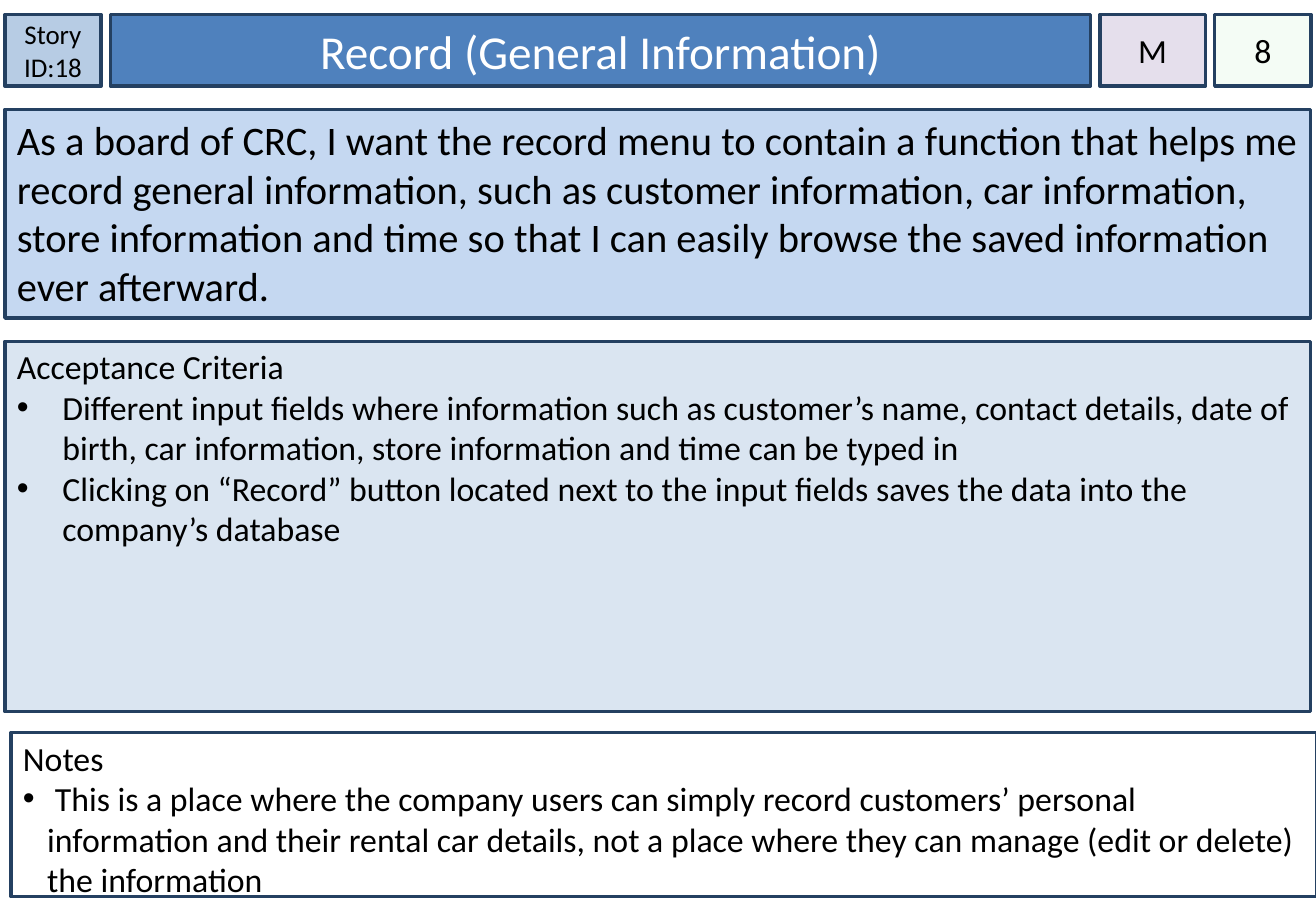
"""Build a user story card with a header row and three text panels."""
from lxml.etree import SubElement
from pptx import Presentation
from pptx.dml.color import RGBColor
from pptx.enum.shapes import MSO_SHAPE as Shape
from pptx.enum.text import MSO_ANCHOR as Anchor, PP_ALIGN as Align
from pptx.oxml.ns import qn
from pptx.util import Pt

NAVY = RGBColor(0x24, 0x40, 0x61)
BLACK = RGBColor(0, 0, 0)
WHITE = RGBColor(0xFF, 0xFF, 0xFF)
STEEL = RGBColor(0xB7, 0xCC, 0xE4)
BLUE = RGBColor(0x4F, 0x81, 0xBD)
LILAC = RGBColor(0xE5, 0xDF, 0xEC)
GREEN = RGBColor(0xCC, 0xF0, 0xCD)
SKY = RGBColor(0xC5, 0xD8, 0xF1)
PALE = RGBColor(0xDA, 0xE5, 0xF1)

LEFT = 2.9
HEADER_TOP, HEADER_HEIGHT, HEADER_GAP = 8.6, 42.5, 5.5
PANEL_WIDTH = 774

HEADER = [
    ("Story ID:18", 57,
     {"fill": STEEL, "size": 16, "top_inset": 0, "bottom_inset": 0}),
    ("Record (General Information)", 581,
     {"fill": BLUE, "size": 28, "color": WHITE, "side": 7.2}),
    ("M", 62.6, {"fill": LILAC}),
    ("8", 57, {"fill": GREEN, "opacity": 20}),
]

STORY = (
    "As a board of CRC, I want the record menu to contain a function that "
    "helps me record general information, such as customer information, car "
    "information, store information and time so that I can easily browse the "
    "saved information ever afterward."
)
CRITERIA = [
    "Acceptance Criteria",
    "Different input fields where information such as customer’s name, contact "
    "details, date of birth, car information, store information and time can "
    "be typed in",
    "Clicking on “Record” button located next to the input fields saves the "
    "data into the company’s database",
]
NOTES = [
    "Notes",
    " This is a place where the company users can simply record customers’ "
    "personal information and their rental car details, not a place where "
    "they can manage (edit or delete) the information",
]
PANELS = [
    ([STORY], (LEFT, 64.8, PANEL_WIDTH, 123.8), {"fill": SKY, "size": 24}),
    (CRITERIA, (LEFT, 202.3, PANEL_WIDTH, 219.6),
     {"fill": PALE, "indent": 27, "top_inset": 2.9}),
    (NOTES, (6.5, 434.2, PANEL_WIDTH, 97.2),
     {"fill": WHITE, "indent": 14.4, "top_inset": 2.9}),
]


def add_bullet(para, indent):
    props = para._p.get_or_add_pPr()
    props.set("marL", str(Pt(indent)))
    props.set("indent", str(-Pt(indent)))
    SubElement(props, qn("a:buFont"), typeface="Arial")
    SubElement(props, qn("a:buChar"), char="•")


def add_card(page, lines, place, fill, size=20, color=BLACK, side=7.2,
             top_inset=3.6, bottom_inset=3.6, align=Align.LEFT,
             anchor=Anchor.TOP, indent=0, opacity=100):
    box = page.shapes.add_shape(Shape.RECTANGLE, *map(Pt, place))
    box.shadow.inherit = False
    box.fill.solid()
    box.fill.fore_color.rgb = fill
    if opacity < 100:
        tint = box._element.spPr.find(qn("a:solidFill"))[0]
        SubElement(tint, qn("a:alpha"), val=str(opacity * 1000))
    box.line.color.rgb = NAVY
    box.line.width = Pt(2)

    frame = box.text_frame
    frame.word_wrap = True
    frame.vertical_anchor = anchor
    frame.margin_left = frame.margin_right = Pt(side)
    frame.margin_top, frame.margin_bottom = Pt(top_inset), Pt(bottom_inset)
    for index, line in enumerate(lines):
        para = frame.add_paragraph() if index else frame.paragraphs[0]
        para.alignment = align
        if index and indent:
            add_bullet(para, indent)
        span = para.add_run()
        span.text = line
        span.font.name = "Calibri"
        span.font.size = Pt(size)
        span.font.color.rgb = color


def main():
    deck = Presentation()
    deck.slide_width, deck.slide_height = Pt(780), Pt(540)
    page = deck.slides.add_slide(deck.slide_layouts[6])

    left = LEFT
    for text, width, style in HEADER:
        add_card(page, [text], (left, HEADER_TOP, width, HEADER_HEIGHT),
                 **{"side": 0, "align": Align.CENTER,
                    "anchor": Anchor.MIDDLE, **style})
        left += width + HEADER_GAP
    for lines, place, style in PANELS:
        add_card(page, lines, place, **style)

    deck.save("out.pptx")


if __name__ == "__main__":
    main()
